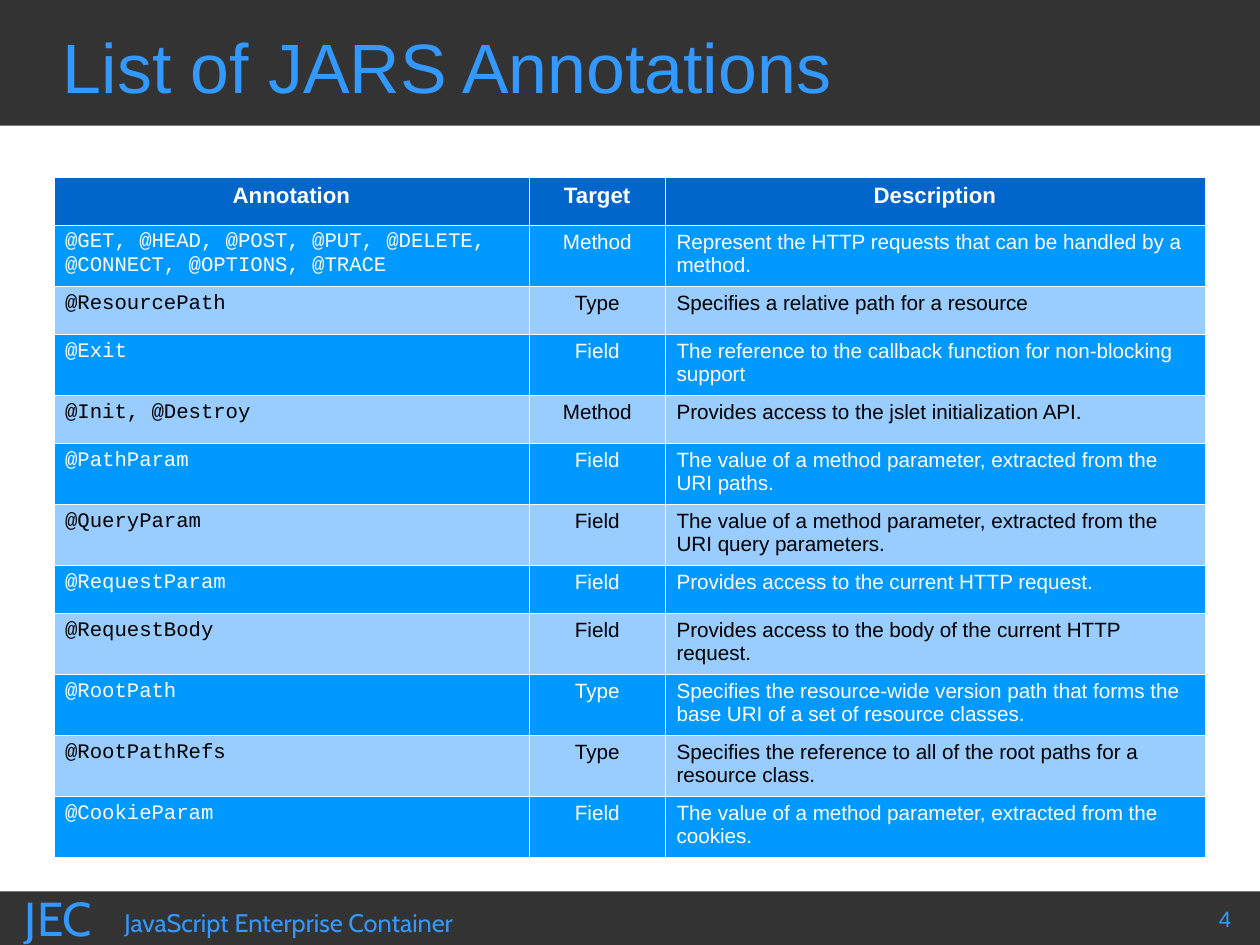
from dataclasses import dataclass

from lxml.etree import SubElement
from pptx import Presentation
from pptx.dml.color import RGBColor
from pptx.enum.shapes import MSO_SHAPE
from pptx.enum.text import MSO_ANCHOR, PP_ALIGN
from pptx.oxml.ns import qn
from pptx.slide import Slide
from pptx.table import _Cell
from pptx.text.text import _Paragraph
from pptx.util import Inches, Pt

COLORS = {
    "bar": "333333",
    "accent": "3399FF",
    "header": "0066CC",
    "odd": "0099FF",
    "even": "99CCFF",
    "white": "FFFFFF",
    "black": "000000",
}
CENTIMETERS_PER_INCH = 2.54
SLIDE_WIDTH = 28 / CENTIMETERS_PER_INCH
SLIDE_HEIGHT = 21 / CENTIMETERS_PER_INCH
FOOTER_TOP = 7.8
COLUMN_WIDTHS = (4.16, 1.19, 4.72)
COLUMN_FONTS = ("Courier New", "Arial", "Arial")
COLUMN_ALIGNMENTS = (PP_ALIGN.LEFT, PP_ALIGN.CENTER, PP_ALIGN.LEFT)
SHORT_ROW, TALL_ROW = 0.42, 0.53
BORDER_WIDTH = Pt(0.06)


@dataclass
class Bar:
    top: float
    height: float


@dataclass
class Label:
    text: str
    left: float
    top: float
    width: float
    height: float
    size: float
    font: str
    alignment: PP_ALIGN = PP_ALIGN.LEFT
    anchor: MSO_ANCHOR = MSO_ANCHOR.TOP
    margins: tuple[float, float] = (0.1, 0.05)
    wrap: bool = True


@dataclass
class Annotation:
    name: str
    target: str
    description: str
    height: float = TALL_ROW


BARS = [Bar(FOOTER_TOP, SLIDE_HEIGHT - FOOTER_TOP), Bar(0, 1.1)]

LABELS = [
    Label("4", 4.96, 7.87, 5.91, 0.32, 14, "Arial", alignment=PP_ALIGN.RIGHT),
    Label("JEC", 0.12, 7.73, 0.87, 0.67, 30, "Cabin", wrap=False),
    Label("JavaScript Enterprise Container", 0.99, 7.89, 3.43, 0.4, 16, "Cabin", wrap=False),
    Label("List of JARS Annotations", 0.55, 0.16, 9.06, 0.82, 44, "Arial",
          anchor=MSO_ANCHOR.MIDDLE, margins=(0, 0)),
]

ANNOTATIONS = [
    Annotation("Annotation", "Target", "Description", SHORT_ROW),
    Annotation("@GET, @HEAD, @POST, @PUT, @DELETE, @CONNECT, @OPTIONS, @TRACE", "Method",
               "Represent the HTTP requests that can be handled by a method."),
    Annotation("@ResourcePath", "Type", "Specifies a relative path for a resource", SHORT_ROW),
    Annotation("@Exit", "Field",
               "The reference to the callback function for non-blocking support"),
    Annotation("@Init, @Destroy", "Method",
               "Provides access to the jslet initialization API.", SHORT_ROW),
    Annotation("@PathParam", "Field",
               "The value of a method parameter, extracted from the URI paths."),
    Annotation("@QueryParam", "Field",
               "The value of a method parameter, extracted from the URI query parameters."),
    Annotation("@RequestParam", "Field",
               "Provides access to the current HTTP request.", SHORT_ROW),
    Annotation("@RequestBody", "Field",
               "Provides access to the body of the current HTTP request."),
    Annotation("@RootPath", "Type",
               "Specifies the resource-wide version path that forms the base URI "
               "of a set of resource classes."),
    Annotation("@RootPathRefs", "Type",
               "Specifies the reference to all of the root paths for a resource class."),
    Annotation("@CookieParam", "Field",
               "The value of a method parameter, extracted from the cookies."),
]


def add_run(paragraph: _Paragraph, text: str, font: str, size: float,
            color: str, bold: bool = False) -> None:
    run = paragraph.add_run()
    run.text = text
    run.font.name = font
    run.font.size = Pt(size)
    run.font.bold = bold
    run.font.color.rgb = RGBColor.from_string(COLORS[color])


def add_bar(slide: Slide, bar: Bar) -> None:
    shape = slide.shapes.add_shape(MSO_SHAPE.RECTANGLE, 0, Inches(bar.top),
                                   Inches(SLIDE_WIDTH), Inches(bar.height))
    shape.shadow.inherit = False
    shape.fill.solid()
    shape.fill.fore_color.rgb = RGBColor.from_string(COLORS["bar"])
    shape.line.fill.background()


def add_label(slide: Slide, label: Label) -> None:
    shape = slide.shapes.add_textbox(Inches(label.left), Inches(label.top),
                                     Inches(label.width), Inches(label.height))
    frame = shape.text_frame
    frame.word_wrap = label.wrap
    frame.vertical_anchor = label.anchor
    horizontal, vertical = label.margins
    frame.margin_left = frame.margin_right = Inches(horizontal)
    frame.margin_top = frame.margin_bottom = Inches(vertical)
    paragraph = frame.paragraphs[0]
    paragraph.alignment = label.alignment
    add_run(paragraph, label.text, label.font, label.size, "accent")


def style_cell(cell: _Cell, fill: str) -> None:
    properties = cell._tc.get_or_add_tcPr()
    for side in ("a:lnL", "a:lnR", "a:lnT", "a:lnB"):
        line = SubElement(properties, qn(side), w=str(BORDER_WIDTH))
        solid = SubElement(line, qn("a:solidFill"))
        SubElement(solid, qn("a:srgbClr"), val=COLORS["white"])
    cell.fill.solid()
    cell.fill.fore_color.rgb = RGBColor.from_string(COLORS[fill])
    cell.margin_left = cell.margin_right = Inches(0.1)
    cell.margin_top = cell.margin_bottom = Inches(0.05)


def add_annotation_table(slide: Slide) -> None:
    height = sum(annotation.height for annotation in ANNOTATIONS)
    table = slide.shapes.add_table(
        len(ANNOTATIONS), len(COLUMN_WIDTHS), Inches(0.47), Inches(1.55),
        Inches(sum(COLUMN_WIDTHS)), Inches(height)).table
    for column, width in zip(table.columns, COLUMN_WIDTHS):
        column.width = Inches(width)
    for row_index, annotation in enumerate(ANNOTATIONS):
        table.rows[row_index].height = Inches(annotation.height)
        is_header = row_index == 0
        is_even = row_index % 2 == 0
        fill = "header" if is_header else "even" if is_even else "odd"
        color = "black" if fill == "even" else "white"
        texts = (annotation.name, annotation.target, annotation.description)
        for column_index, text in enumerate(texts):
            cell = table.cell(row_index, column_index)
            style_cell(cell, fill)
            paragraph = cell.text_frame.paragraphs[0]
            if is_header:
                paragraph.alignment = PP_ALIGN.CENTER
                add_run(paragraph, text, "Arial", 14, color, bold=True)
            else:
                paragraph.alignment = COLUMN_ALIGNMENTS[column_index]
                add_run(paragraph, text, COLUMN_FONTS[column_index], 13, color)


def main() -> None:
    presentation = Presentation()
    presentation.slide_width = Inches(SLIDE_WIDTH)
    presentation.slide_height = Inches(SLIDE_HEIGHT)
    slide = presentation.slides.add_slide(presentation.slide_layouts[6])
    for bar in BARS:
        add_bar(slide, bar)
    for label in LABELS:
        add_label(slide, label)
    add_annotation_table(slide)
    presentation.save("out.pptx")


if __name__ == "__main__":
    main()
